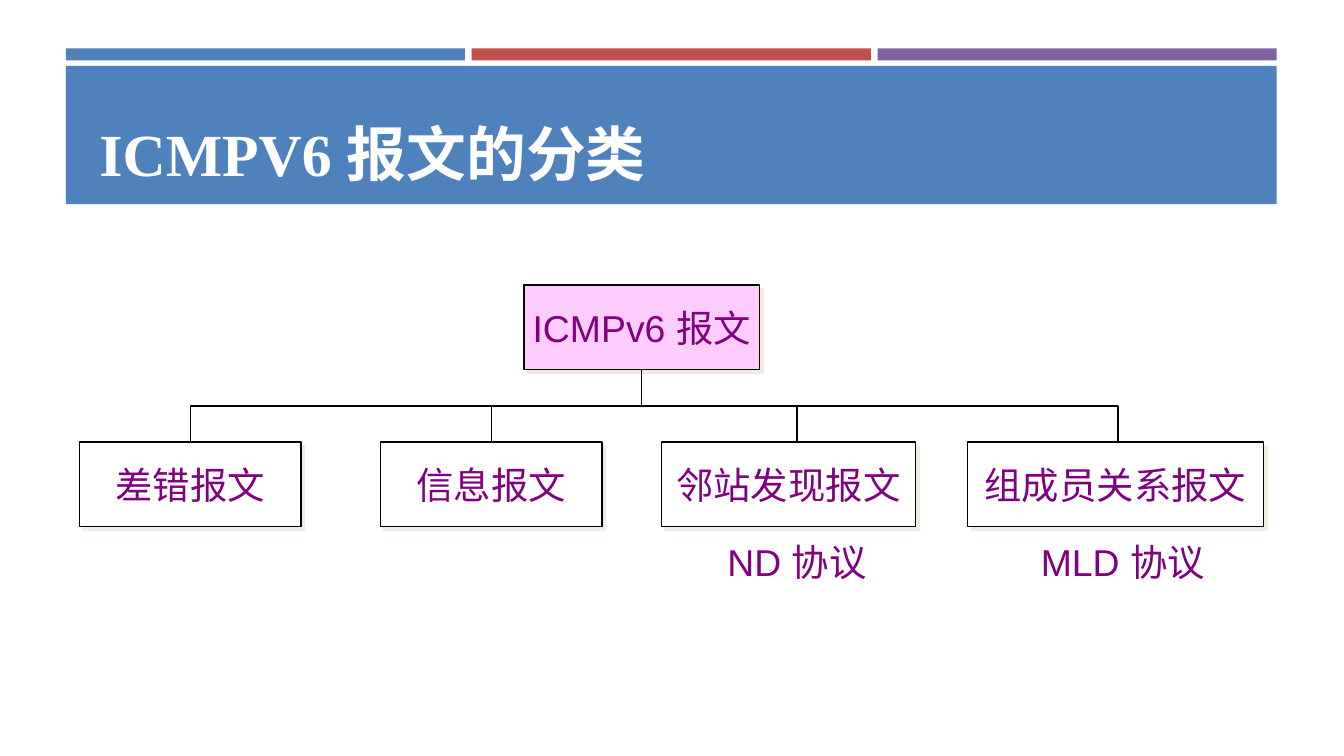
"""Build a slide that charts the classes of ICMPv6 messages."""
import pptx
import pptx.util
import pptx.dml.color
import pptx.enum.shapes
import pptx.enum.text
import pptx.oxml
import pptx.oxml.ns

Inches = pptx.util.Inches
Pt = pptx.util.Pt
Align = pptx.enum.text.PP_ALIGN
Anchor = pptx.enum.text.MSO_ANCHOR
Fit = pptx.enum.text.MSO_AUTO_SIZE
Kind = pptx.enum.shapes.MSO_SHAPE
Line = pptx.enum.shapes.MSO_CONNECTOR

COLORS = {
    "blue": "4F81BD", "red": "C0504D", "violet": "8064A2",
    "white": "FFFFFF", "black": "000000", "pink": "FFCCFF",
    "purple": "800080", "shadow": "EEECE1",
}
TOP, BUS, ROW = 2.12, 3.02, 3.29
HIGH = 0.63
ROOT = ("ICMPv6 报文", 3.9, 1.75)
LEAVES = [
    ("差错报文", 0.59, 1.65),
    ("信息报文", 2.83, 1.65),
    ("邻站发现报文", 4.92, 1.89),
    ("组成员关系报文", 7.2, 2.2),
]
NOTES = [("ND 协议", 5.3, 1.26), ("MLD 协议", 7.63, 1.45)]


def color(name):
    """Return the named colour."""
    return pptx.dml.color.RGBColor.from_string(COLORS[name])


def place(*area):
    """Turn lengths in inches into slide units."""
    return [Inches(part) for part in area]


def middle(item):
    """Return the middle of an item of text, left and width."""
    text, left, width = item
    return left + width / 2


def write(frame, text, size, font, ink, align):
    """Set one paragraph of text and format it."""
    frame.text = text
    para = frame.paragraphs[0]
    para.alignment = align
    for run in para.runs:
        run.font.size = Pt(size)
        run.font.name = font
        run.font.color.rgb = color(ink)


def add_rect(slide, area, fill):
    """Add a plain filled rectangle."""
    rect = slide.shapes.add_shape(Kind.RECTANGLE, *place(*area))
    rect.shadow.inherit = False
    rect.fill.solid()
    rect.fill.fore_color.rgb = color(fill)
    rect.line.fill.background()
    return rect


def add_shadow(shape):
    """Give the shape a hard shadow down to the right."""
    effects = shape._element.spPr.find(pptx.oxml.ns.qn("a:effectLst"))
    effects.append(pptx.oxml.parse_xml(
        f'<a:outerShdw {pptx.oxml.ns.nsdecls("a")} blurRad="0" '
        f'dist="{Pt(2.8)}" dir="2700000" algn="ctr" rotWithShape="0">'
        f'<a:srgbClr val="{COLORS["shadow"]}"/></a:outerShdw>'))


def ink_line(shape):
    """Draw the outline thin and black."""
    shape.line.color.rgb = color("black")
    shape.line.width = Pt(0.75)


def add_box(slide, item, top, fill):
    """Add a labelled box of the tree."""
    text, left, width = item
    box = add_rect(slide, (left, top, width, HIGH), fill)
    ink_line(box)
    add_shadow(box)
    frame = box.text_frame
    frame.word_wrap = False
    frame.vertical_anchor = Anchor.MIDDLE
    write(frame, text, 20, "Arial", "purple", Align.CENTER)
    return box


def add_link(slide, x, top, end):
    """Add an upright line of the tree."""
    link = slide.shapes.add_connector(Line.STRAIGHT, *place(x, top, x, end))
    ink_line(link)
    props = link._element.spPr
    props.append(props.makeelement(pptx.oxml.ns.qn("a:effectLst"), {}))
    return link


def add_bus(slide, first, last):
    """Add the open bracket that joins the outer boxes."""
    points = [place(*point) for point in
              [(first, ROW), (first, BUS), (last, BUS), (last, ROW)]]
    pen = slide.shapes.build_freeform(*points[0])
    pen.add_line_segments(points[1:], close=False)
    bus = pen.convert_to_shape()
    bus.shadow.inherit = False
    bus.fill.background()
    ink_line(bus)


def add_note(slide, text, left, width):
    """Add a caption below a box."""
    note = slide.shapes.add_textbox(*place(left, 3.96, width, 0.44))
    note.text_frame.word_wrap = False
    note.text_frame.auto_size = Fit.SHAPE_TO_FIT_TEXT
    write(note.text_frame, text, 20, "Arial", "purple", Align.CENTER)


def add_title(slide, text):
    """Add the colour bars and lay the title over them."""
    for step, fill in enumerate(["blue", "red", "violet"]):
        add_rect(slide, (0.49 + step * 3.02, 0.36, 2.97, 0.09), fill)
    add_rect(slide, (0.49, 0.49, 9.01, 1.03), "blue")
    title = slide.shapes.title
    title.left, title.top, title.width, title.height = place(
        0.64, 0.56, 8.74, 0.89)
    slide.shapes._spTree.append(title._element)
    frame = title.text_frame
    frame.auto_size = Fit.NONE
    frame.vertical_anchor = Anchor.BOTTOM
    write(frame, text, 32, "Times New Roman", "white", Align.LEFT)
    frame.paragraphs[0].runs[0].font.bold = True


def add_tree(slide):
    """Add the root, its four classes and the lines between them."""
    root = add_box(slide, ROOT, TOP, "pink")
    boxes = [add_box(slide, leaf, ROW, "white") for leaf in LEAVES]
    add_bus(slide, 1.42, 8.32)
    add_link(slide, middle(LEAVES[1]), BUS, ROW).end_connect(boxes[1], 0)
    add_link(slide, middle(NOTES[0]), BUS, ROW)
    add_link(slide, middle(ROOT), TOP + HIGH, BUS).begin_connect(root, 2)
    for note in NOTES:
        add_note(slide, *note)


def main():
    """Build and save the slide."""
    deck = pptx.Presentation()
    deck.slide_width, deck.slide_height = place(10, 10 * 9 / 16)
    slide = deck.slides.add_slide(deck.slide_layouts[5])
    add_title(slide, "ICMPV6 报文的分类")
    add_tree(slide)
    deck.save("out.pptx")


if __name__ == "__main__":
    main()
